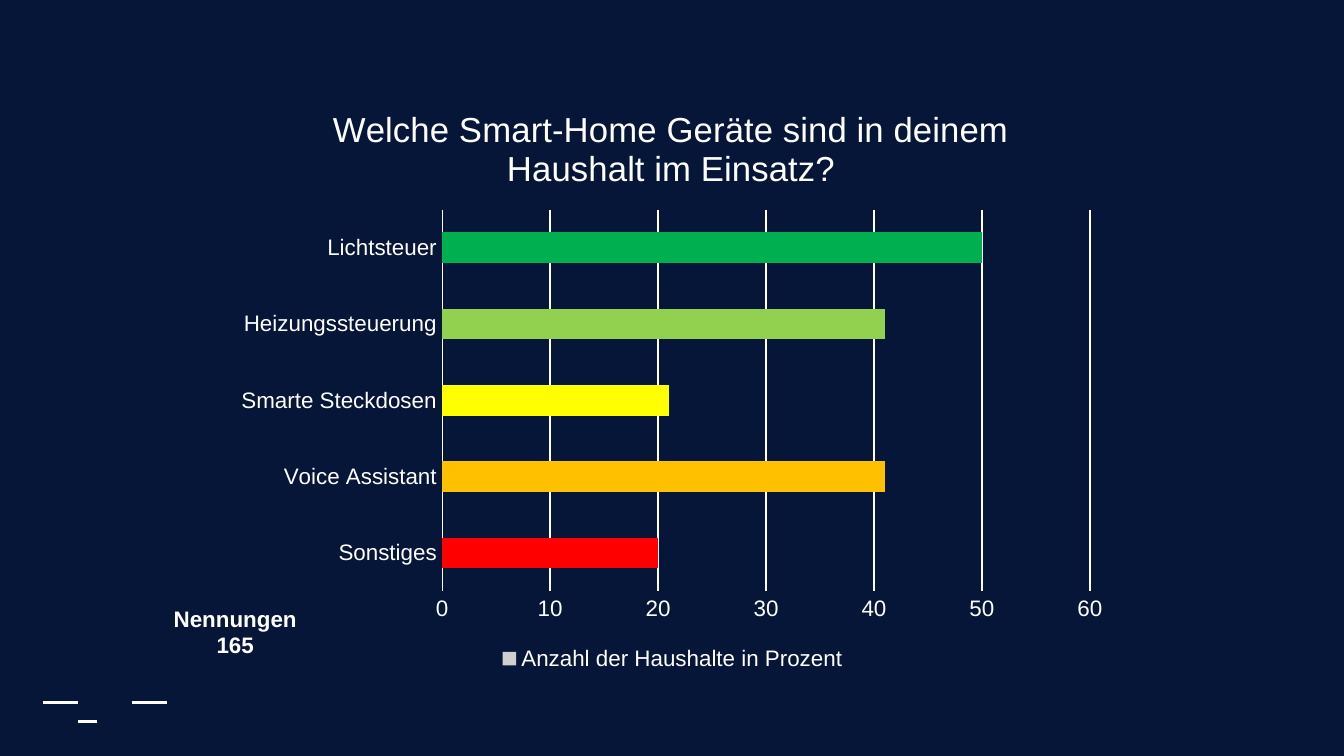
from pptx import Presentation
from pptx.chart.data import CategoryChartData
from pptx.dml.color import RGBColor
from pptx.enum.chart import XL_CHART_TYPE, XL_LEGEND_POSITION, XL_TICK_MARK
from pptx.enum.shapes import MSO_CONNECTOR
from pptx.enum.text import MSO_AUTO_SIZE, PP_ALIGN
from pptx.oxml import parse_xml
from pptx.oxml.ns import nsdecls
from pptx.util import Inches, Pt

WHITE = "FFFFFF"
BARS = [
    ("Sonstiges", 20, "FF0000"),
    ("Voice Assistant", 41, "FFC000"),
    ("Smarte Steckdosen", 21, "FFFF00"),
    ("Heizungssteuerung", 41, "92D050"),
    ("Lichtsteuer", 50, "00B050"),
]


def paint(fill, color):
    fill.solid()
    fill.fore_color.rgb = RGBColor.from_string(color)


def style(font, size, bold=False):
    font.name = "Arial"
    font.size = Pt(size)
    font.bold = bold
    font.color.rgb = RGBColor.from_string(WHITE)


def layout(x, y, w=None, h=None):
    """Manual chart layout in inches of a 6.67 by 4.44 chart; a size means the inner plot."""
    parts = [("xMode", "edge"), ("yMode", "edge"), ("x", x / 6.67), ("y", y / 4.44)]
    if w:
        parts = [("layoutTarget", "inner")] + parts + [("w", w / 6.67), ("h", h / 4.44)]
    body = "".join(f'<c:{tag} val="{val}"/>' for tag, val in parts)
    return parse_xml(f"<c:layout {nsdecls('c')}><c:manualLayout>{body}"
                     "</c:manualLayout></c:layout>")


def add_marks(slide, left, top):
    # Three short dashes at the lower left
    for x, y, width in [(0, 0, 0.26), (0.66, 0, 0.26), (0.26, 0.14, 0.14)]:
        line = slide.shapes.add_connector(
            MSO_CONNECTOR.STRAIGHT, Inches(left + x), Inches(top + y),
            Inches(left + x + width), Inches(top + y))
        line.line.width = Pt(1.5)
        line.line.color.rgb = RGBColor.from_string(WHITE)
        line._element.spPr.append(parse_xml(f"<a:effectLst {nsdecls('a')}/>"))


def add_bars(slide, left, top, width, height):
    data = CategoryChartData()
    data.categories = [name for name, _, _ in BARS]
    data.add_series("Anzahl der Haushalte in Prozent", [val for _, val, _ in BARS])
    chart = slide.shapes.add_chart(
        XL_CHART_TYPE.BAR_STACKED, Inches(left), Inches(top),
        Inches(width), Inches(height), data).chart
    style(chart.font, 10)

    # Title
    frame = chart.chart_title.text_frame
    run = frame.paragraphs[0].add_run()
    run.text = "Welche Smart-Home Geräte sind in deinem Haushalt im Einsatz?"
    style(run.font, 18.6)
    chart.chart_title.include_in_layout = False
    title = chart.chart_title._element
    title.remove_all("c:layout")
    title.find("{*}tx").addnext(layout(0.76, 0.15))

    # Bars, one colour each
    plot = chart.plots[0]
    plot.gap_width = 150
    plot.overlap = 100
    plot.vary_by_categories = False
    series = plot.series[0]
    paint(series.format.fill, "CFCFCF")
    for i, (_, _, color) in enumerate(BARS):
        paint(series.points[i].format.fill, color)
    area = chart._chartSpace.chart.plotArea
    area.remove_all("c:layout")
    area.insert(0, layout(1.62, 0.97, 4.82, 2.84))

    # Axes and grid
    for axis in (chart.category_axis, chart.value_axis):
        axis.major_tick_mark = axis.minor_tick_mark = XL_TICK_MARK.NONE
        axis.format.line.fill.background()
        style(axis.tick_labels.font, 12)
    scale = chart.value_axis
    scale.minimum_scale, scale.maximum_scale, scale.major_unit = 0, 60, 10
    grid = scale.major_gridlines.format.line
    grid.width = Pt(0.75)
    grid.color.rgb = RGBColor.from_string(WHITE)

    # Legend
    chart.has_legend = True
    chart.legend.position = XL_LEGEND_POSITION.BOTTOM
    chart.legend.include_in_layout = False
    style(chart.legend.font, 12)


def add_count(slide, left, top, width, height):
    box = slide.shapes.add_textbox(
        Inches(left), Inches(top), Inches(width), Inches(height))
    frame = box.text_frame
    frame.word_wrap = True
    frame.auto_size = MSO_AUTO_SIZE.SHAPE_TO_FIT_TEXT
    for i, text in enumerate(["Nennungen", "165"]):
        para = frame.add_paragraph() if i else frame.paragraphs[0]
        para.alignment = PP_ALIGN.CENTER
        run = para.add_run()
        run.text = text
        style(run.font, 12, bold=True)


def main():
    deck = Presentation()
    # Widescreen, 16 to 9
    deck.slide_width = Inches(10)
    deck.slide_height = deck.slide_width * 9 // 16
    slide = deck.slides.add_slide(deck.slide_layouts[6])
    paint(slide.background.fill, "051638")
    add_marks(slide, 0.32, 5.23)
    add_bars(slide, 1.67, 0.59, 6.67, 4.44)
    add_count(slide, 0.89, 4.45, 1.72, 0.5)
    deck.save("out.pptx")


if __name__ == "__main__":
    main()
